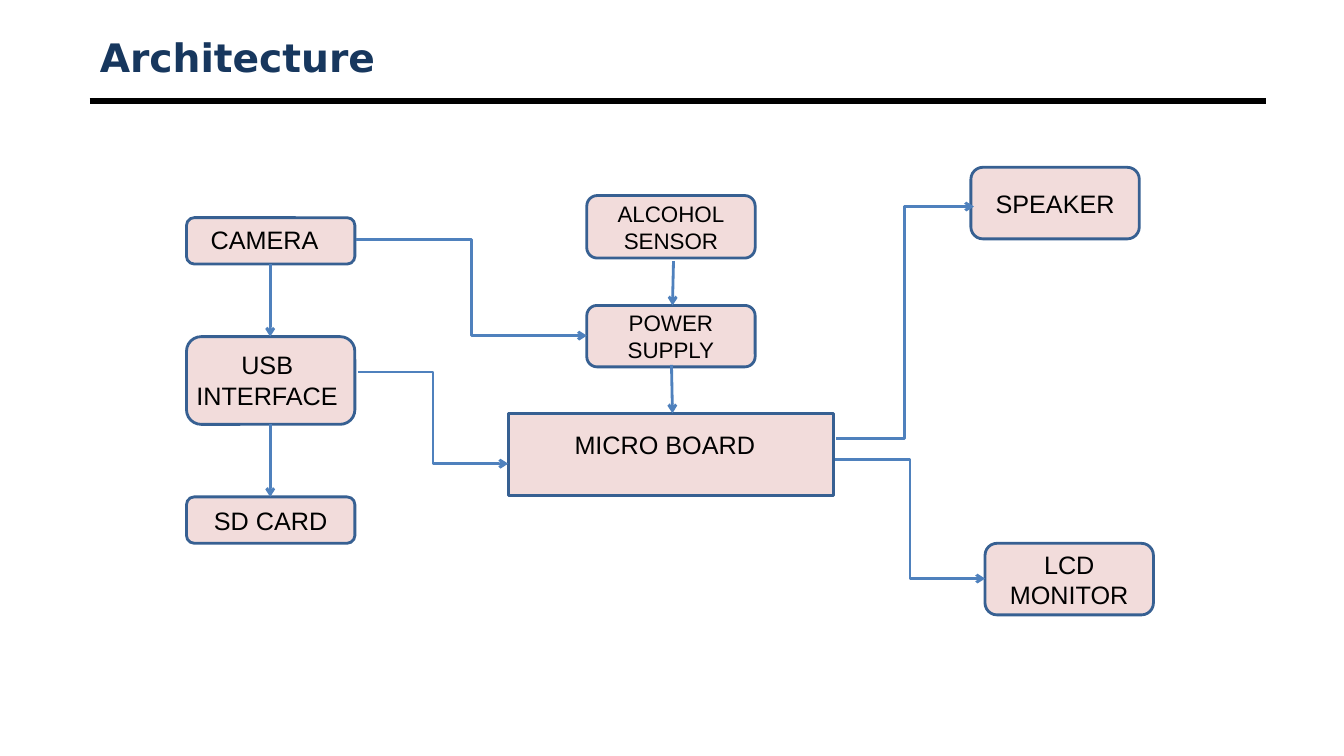
import pptx
import pptx.dml.color
import pptx.enum.shapes
import pptx.enum.text
import pptx.oxml
import pptx.oxml.ns
import pptx.util

SHAPE = pptx.enum.shapes.MSO_SHAPE
CONNECTOR = pptx.enum.shapes.MSO_CONNECTOR
ALIGN = pptx.enum.text.PP_ALIGN
ANCHOR = pptx.enum.text.MSO_ANCHOR

COLORS = {"title": "17375E", "rule": "000000", "text": "000000",
          "box": "F2DCDB", "border": "376092", "arrow": "4F81BD"}
PX = 9144  # 100 px to the inch
SLIDE_SIZE = (1333, 750)

TITLE = "Architecture"
TITLE_AREA = (89, 30, 1167, 53)
RULE_Y = 100

NODE_WIDTH = 167
# left, top, height, text, font size
NODES = [
    (185, 216, 46, "", 18),
    (185, 334, 87, "", 18),
    (185, 493, 46, "SD CARD", 18),
    (582, 303, 61, "POWER\nSUPPLY", 16),
    (582, 194, 62, "ALCOHOL\nSENSOR", 16),
    (963, 166, 71, "SPEAKER", 18),
    (977, 539, 71, "LCD\nMONITOR", 18),
]
BOARD = (504, 410, 323, 82)
# area, text, alignment
LABELS = [
    ((560, 421, 213, 40), "MICRO BOARD", ALIGN.LEFT),
    ((199, 218, 138, 40), "CAMERA", ALIGN.LEFT),
    ((175, 342, 180, 71), "USB INTERFACE", ALIGN.CENTER),
]
# start x, start y, end x, end y
STRAIGHT_ARROWS = [
    (268, 262, 268, 334),
    (268, 421, 268, 493),
    (668, 259, 667, 303),
    (666, 362, 667, 410),
]
ELBOW_ARROWS = [
    (353, 238, 582, 333),
    (355, 369, 504, 460),
    (829, 435, 966, 205),
    (828, 456, 977, 574),
]


def emu(lengths):
    return [length * PX for length in lengths]


def rgb(name):
    return pptx.dml.color.RGBColor.from_string(COLORS[name])


def write(frame, text, size, align):
    frame.word_wrap = True
    frame.text = text
    for paragraph in frame.paragraphs:
        paragraph.alignment = align
        for run in paragraph.runs:
            run.font.size = pptx.util.Pt(size)
            run.font.name = "Arial"
            run.font.color.rgb = rgb("text")


def add_box(slide, kind, area):
    box = slide.shapes.add_shape(kind, *emu(area))
    box.shadow.inherit = False
    box.fill.solid()
    box.fill.fore_color.rgb = rgb("box")
    box.line.color.rgb = rgb("border")
    box.line.width = pptx.util.Pt(2)
    return box


def add_line(slide, kind, ends, color, width):
    """Add a connector without shadow and return it."""
    line = slide.shapes.add_connector(kind, *emu(ends))
    line.line.color.rgb = rgb(color)
    line.line.width = pptx.util.Pt(width)
    properties = line._element.spPr
    properties.append(pptx.oxml.parse_xml(
        "<a:effectLst %s/>" % pptx.oxml.ns.nsdecls("a")))
    return line


def add_arrow(slide, kind, ends):
    arrow = add_line(slide, kind, ends, "arrow", 2)
    arrow.line._get_or_add_ln().append(pptx.oxml.parse_xml(
        '<a:tailEnd %s type="arrow"/>' % pptx.oxml.ns.nsdecls("a")))


def add_title(slide):
    title = slide.shapes.title
    title.left, title.top, title.width, title.height = emu(TITLE_AREA)
    frame = title.text_frame
    frame.text = TITLE
    frame.auto_size = pptx.enum.text.MSO_AUTO_SIZE.NONE
    frame.vertical_anchor = ANCHOR.MIDDLE
    frame.paragraphs[0].alignment = ALIGN.LEFT
    font = frame.paragraphs[0].runs[0].font
    font.name = "DejaVu Sans"
    font.size = pptx.util.Pt(28)
    font.bold = True
    font.color.rgb = rgb("title")


def main():
    deck = pptx.Presentation()
    deck.slide_width, deck.slide_height = emu(SLIDE_SIZE)
    slide = deck.slides.add_slide(deck.slide_layouts.get_by_name("Title Only"))

    add_title(slide)
    left, _, width, _ = TITLE_AREA
    add_line(slide, CONNECTOR.STRAIGHT,
             (left, RULE_Y, left + width, RULE_Y), "rule", 4.5)

    add_box(slide, SHAPE.RECTANGLE, BOARD)
    for left, top, height, text, size in NODES:
        node = add_box(slide, SHAPE.ROUNDED_RECTANGLE,
                       (left, top, NODE_WIDTH, height))
        if text:
            node.text_frame.vertical_anchor = ANCHOR.MIDDLE
            write(node.text_frame, text, size, ALIGN.CENTER)
    for area, text, align in LABELS:
        label = slide.shapes.add_textbox(*emu(area))
        write(label.text_frame, text, 18, align)

    for ends in STRAIGHT_ARROWS:
        add_arrow(slide, CONNECTOR.STRAIGHT, ends)
    for ends in ELBOW_ARROWS:
        add_arrow(slide, CONNECTOR.ELBOW, ends)

    deck.save("out.pptx")


if __name__ == "__main__":
    main()
